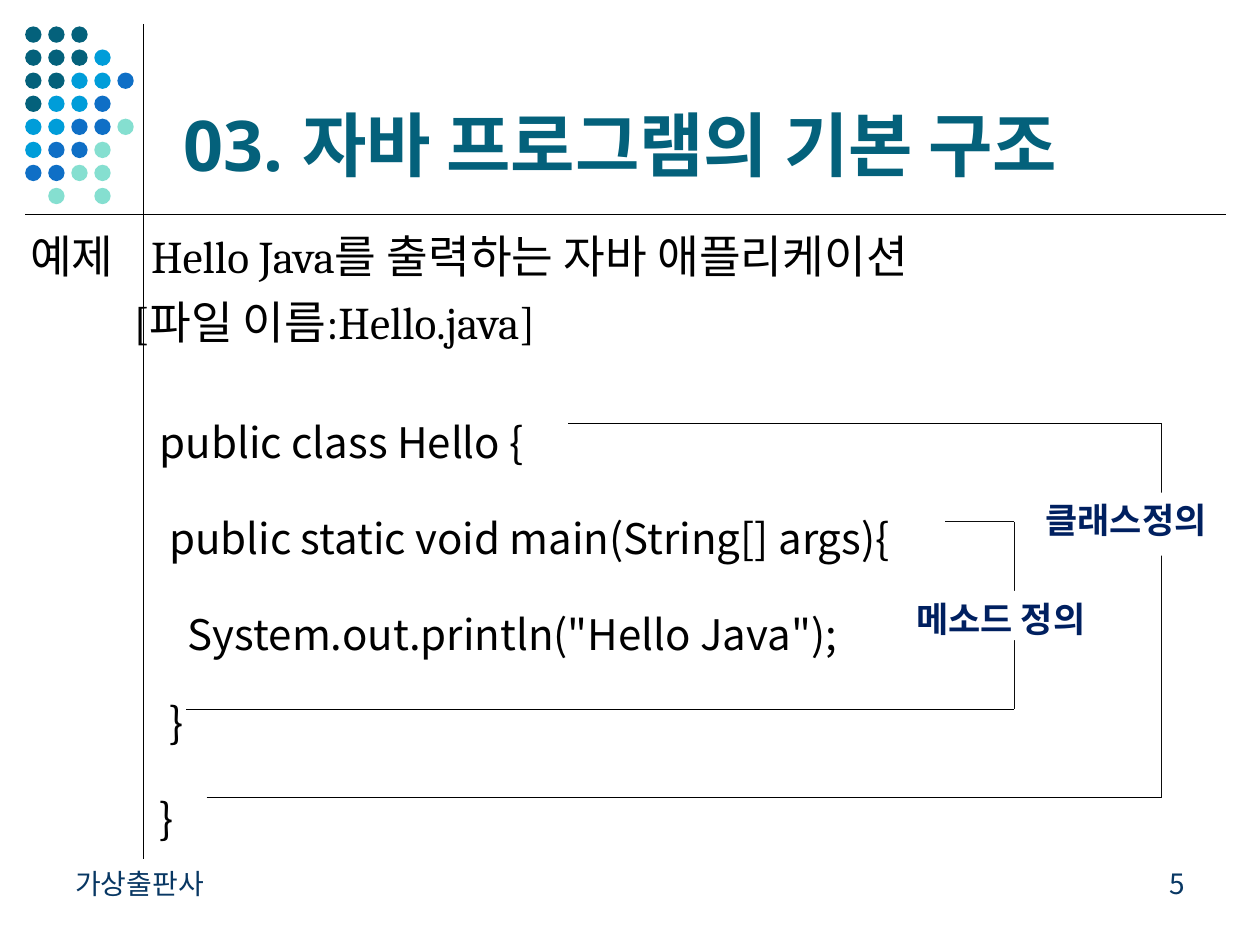
from dataclasses import dataclass

from lxml import etree
from pptx import Presentation
from pptx.dml.color import RGBColor
from pptx.enum.shapes import MSO_CONNECTOR, MSO_SHAPE
from pptx.enum.text import MSO_ANCHOR, PP_ALIGN
from pptx.oxml.ns import qn
from pptx.util import Inches, Pt

OVAL = MSO_SHAPE.OVAL
RECTANGLE = MSO_SHAPE.RECTANGLE
STRAIGHT = MSO_CONNECTOR.STRAIGHT
TOP, BOTTOM = MSO_ANCHOR.TOP, MSO_ANCHOR.BOTTOM
LEFT, RIGHT, JUSTIFY = PP_ALIGN.LEFT, PP_ALIGN.RIGHT, PP_ALIGN.JUSTIFY


@dataclass(frozen=True)
class Style:
    """Font, size, colour and weight of a span."""
    font: str
    size: float
    color: str
    bold: bool = False


@dataclass(frozen=True)
class Theme:
    """Colours and type styles of the page."""
    korean: str = "Noto Sans CJK KR"
    black: str = "000000"
    soft_black: str = "0D0D0D"
    white: str = "FFFFFF"
    teal: str = "04617B"
    sky: str = "009DD9"
    blue: str = "0F6FC6"
    mint: str = "85DFD0"
    thin: float = 0.34
    regular: float = 0.75
    title: Style = Style("Noto Sans", 40, "04617B", True)
    body: Style = Style("Cambria", 25.9, "000000")
    footer: Style = Style("Noto Sans CJK KR", 16, "083763")
    label: Style = Style("Noto Sans CJK KR", 20, "002060", True)
    code: Style = Style("Noto Sans CJK KR", 24, "000000")


THEME = Theme()

DOT_ROWS = ["TTT", "TTTS", "TTSSB", "TSSB", "SSBBM", "SBBM", "BBMM", " M M"]
DOT_COLORS = {"T": THEME.teal, "S": THEME.sky, "B": THEME.blue, "M": THEME.mint}
CODE_LINES = [
    ("public class Hello {", 55),
    (" public static void main(String[] args){", 55),
    ('   System.out.println("Hello Java");', 55),
    (" }", 50),
    ("}", 55),
]


def add_line(page, start, end, color, width):
    """Draw a straight line without a shadow."""
    line = page.shapes.add_connector(STRAIGHT, *map(Inches, start + end))
    line.line.color.rgb = RGBColor.from_string(color)
    line.line.width = Pt(width)
    etree.SubElement(line._element.spPr, qn("a:effectLst"))


def add_filled_shape(page, kind, area, color):
    """Draw a filled preset shape without an outline."""
    shape = page.shapes.add_shape(kind, *map(Inches, area))
    shape.shadow.inherit = False
    shape.fill.solid()
    shape.fill.fore_color.rgb = RGBColor.from_string(color)
    shape.line.fill.background()
    return shape


def set_frame(box, side=0.1, edge=0.05, anchor=TOP):
    """Set wrapping, insets and anchor of a box."""
    frame = box.text_frame
    frame.word_wrap = True
    frame.margin_left = frame.margin_right = Inches(side)
    frame.margin_top = frame.margin_bottom = Inches(edge)
    frame.vertical_anchor = anchor
    return frame


def write_lines(frame, lines, style, align=LEFT):
    """Write pairs of text and line height as paragraphs."""
    for index, (text, height) in enumerate(lines):
        para = frame.add_paragraph() if index else frame.paragraphs[0]
        para.alignment = align
        if height:
            para.line_spacing = Pt(height)
        span = para.add_run()
        span.text = text
        span.font.name = style.font
        span.font.size = Pt(style.size)
        span.font.bold = style.bold
        span.font.color.rgb = RGBColor.from_string(style.color)
        east_asian = etree.SubElement(span.font._element, qn("a:ea"))
        east_asian.set("typeface", THEME.korean)


def add_text(page, area, lines, style, align=LEFT, **frame_options):
    """Add a text box and return its frame."""
    box = page.shapes.add_textbox(*map(Inches, area))
    frame = set_frame(box, **frame_options)
    write_lines(frame, lines, style, align)
    return frame


def set_hanging(para, margin, indent):
    """Set the left margin and first-line indent of a paragraph."""
    properties = para._p.get_or_add_pPr()
    properties.set("marL", str(Inches(margin)))
    properties.set("indent", str(Inches(indent)))


def add_dots(page):
    """Draw the dot pattern in the corner."""
    pitch, size = 0.183, 0.13
    for row, keys in enumerate(DOT_ROWS):
        for column, key in enumerate(keys):
            if key in DOT_COLORS:
                area = (0.2 + column * pitch, 0.21 + row * pitch, size, size)
                add_filled_shape(page, OVAL, area, DOT_COLORS[key])


def add_bracket(page, top_start, bottom_start, right, top, bottom, top_color):
    """Draw a bracket that opens to the left."""
    add_line(page, (top_start, top), (right, top), top_color, THEME.thin)
    add_line(page, (bottom_start, bottom), (right, bottom), THEME.black, THEME.thin)
    add_line(page, (right, top), (right, bottom), THEME.soft_black, THEME.regular)


def add_label(page, area, text):
    """Add a white label that interrupts a bracket."""
    shape = add_filled_shape(page, RECTANGLE, area, THEME.white)
    write_lines(set_frame(shape), [(text, None)], THEME.label, JUSTIFY)


def add_example(page):
    """Add the heading of the example with its file name."""
    lines = [("예제\tHello Java를 출력하는 자바 애플리케이션", 37.7),
             ("[파일 이름:Hello.java]", 37.7)]
    frame = add_text(page, (0.16, 1.72, 9.61, 1.09), lines, THEME.body,
                     side=0.08, edge=0)
    heading, file_name = frame.paragraphs
    set_hanging(heading, 0.96, -0.96)
    set_hanging(file_name, 0.82, 0)


def main():
    """Build the slide and save it."""
    deck = Presentation()
    deck.slide_width, deck.slide_height = Inches(10), Inches(7.5)
    page = deck.slides.add_slide(deck.slide_layouts[6])

    add_line(page, (1.14, 0.19), (1.14, 6.82), THEME.black, THEME.regular)
    add_dots(page)
    add_line(page, (0.2, 1.7), (9.73, 1.7), THEME.black, THEME.regular)
    add_text(page, (1.38, 0.21, 8.25, 1.26), [("03. 자바 프로그램의 기본 구조", None)],
             THEME.title, side=0.08, edge=0, anchor=BOTTOM)
    add_example(page)
    add_text(page, (0.5, 6.83, 2.33, 0.5), [("가상출판사", None)], THEME.footer)
    add_text(page, (7.17, 6.83, 2.33, 0.5), [("5", None)], THEME.footer, RIGHT)

    add_bracket(page, 7.5, 1.48, 8.05, 4.14, 5.63, THEME.soft_black)
    add_bracket(page, 4.51, 1.64, 9.22, 3.36, 6.33, THEME.black)
    add_label(page, (8.2, 3.91, 1.8, 0.5), "클래스정의")
    add_label(page, (7.11, 4.69, 1.87, 0.39), " 메소드 정의")
    add_text(page, (1.17, 2.89, 6.64, 3.85), CODE_LINES, THEME.code)
    deck.save("out.pptx")


if __name__ == "__main__":
    main()
